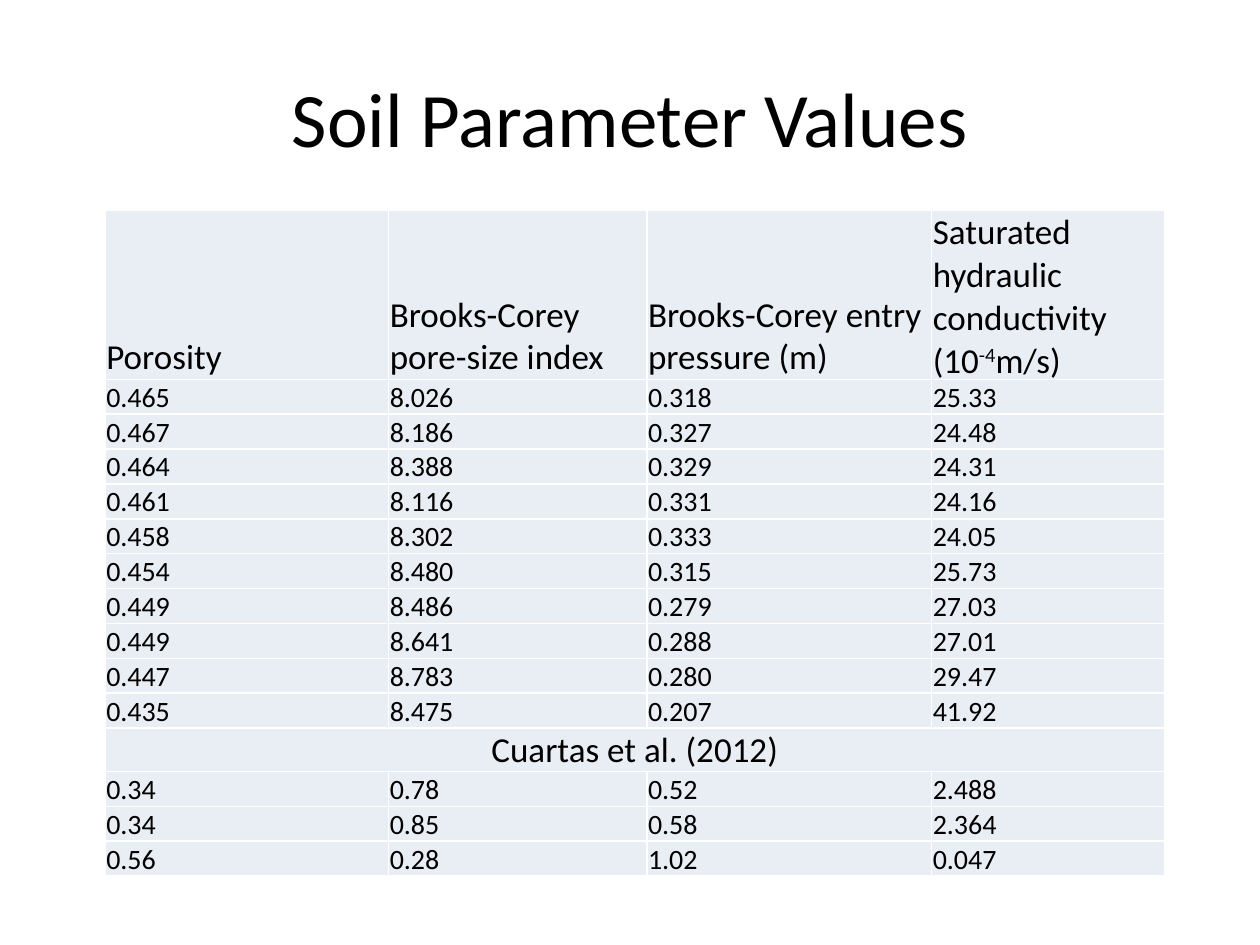
from pptx import Presentation
from pptx import util as u
from pptx.dml import color
from pptx.enum import text

Pt = u.Pt


def tint(code):
    return color.RGBColor.from_string(code)


def write(para, words, size):
    run = para.add_run()
    run.text = words
    for key, val in {"name": "Calibri", "size": Pt(size), "bold": False}.items():
        setattr(run.font, key, val)
    run.font.color.rgb = tint("000000")
    return run


deck = Presentation()
deck.slide_width, deck.slide_height = Pt(720), Pt(540)
slide = deck.slides.add_slide(deck.slide_layouts[6])

title = slide.shapes.add_textbox(Pt(36), Pt(21.6), Pt(648), Pt(90)).text_frame
title.word_wrap = True
title.vertical_anchor = text.MSO_ANCHOR.MIDDLE
title.paragraphs[0].alignment = text.PP_ALIGN.CENTER
write(title.paragraphs[0], "Soil Parameter Values", 44)

heads = ["Porosity", "Brooks-Corey pore-size index",
         "Brooks-Corey entry pressure (m)", "Saturated hydraulic conductivity (10"]
soils = [
    ["0.465", "8.026", "0.318", "25.33"],
    ["0.467", "8.186", "0.327", "24.48"],
    ["0.464", "8.388", "0.329", "24.31"],
    ["0.461", "8.116", "0.331", "24.16"],
    ["0.458", "8.302", "0.333", "24.05"],
    ["0.454", "8.480", "0.315", "25.73"],
    ["0.449", "8.486", "0.279", "27.03"],
    ["0.449", "8.641", "0.288", "27.01"],
    ["0.447", "8.783", "0.280", "29.47"],
    ["0.435", "8.475", "0.207", "41.92"],
]
source = ["Cuartas et al. (2012)"]
others = [
    ["0.34", "0.78", "0.52", "2.488"],
    ["0.34", "0.85", "0.58", "2.364"],
    ["0.56", "0.28", "1.02", "0.047"],
]
rows = [heads, *soils, source, *others]
widths = [162, 147.6, 162.72, 133.2]

frame = slide.shapes.add_table(len(rows), len(widths), Pt(60), Pt(120), Pt(606), Pt(378.72))
table = frame.table
table.first_row = table.horz_banding = False
for col, width in zip(table.columns, widths):
    col.width = Pt(width)
for row in table.rows:
    row.height = Pt(16.56)
table.rows[0].height = Pt(61.92)
frame.height = Pt(378.72)

look = {"margin_left": Pt(0.72), "margin_right": Pt(0.72), "margin_top": Pt(0.72),
        "margin_bottom": 0, "vertical_anchor": text.MSO_ANCHOR.BOTTOM}
for r, row in enumerate(rows):
    size = 20 if row in (heads, source) else 16
    for c in range(len(widths)):
        cell = table.cell(r, c)
        for key, val in look.items():
            setattr(cell, key, val)
        cell.fill.solid()
        cell.fill.fore_color.rgb = tint("E9EDF4")
        if c < len(row):
            write(cell.text_frame.paragraphs[0], row[c], size)

unit = table.cell(0, 3).text_frame.paragraphs[0]
power = write(unit, "-4", 20)
power.font._element.set("baseline", "30000")
write(unit, "m/s)", 20)

band = rows.index(source)
table.cell(band, 0).merge(table.cell(band, 3))
table.cell(band, 0).text_frame.paragraphs[0].alignment = text.PP_ALIGN.CENTER

deck.save("out.pptx")
